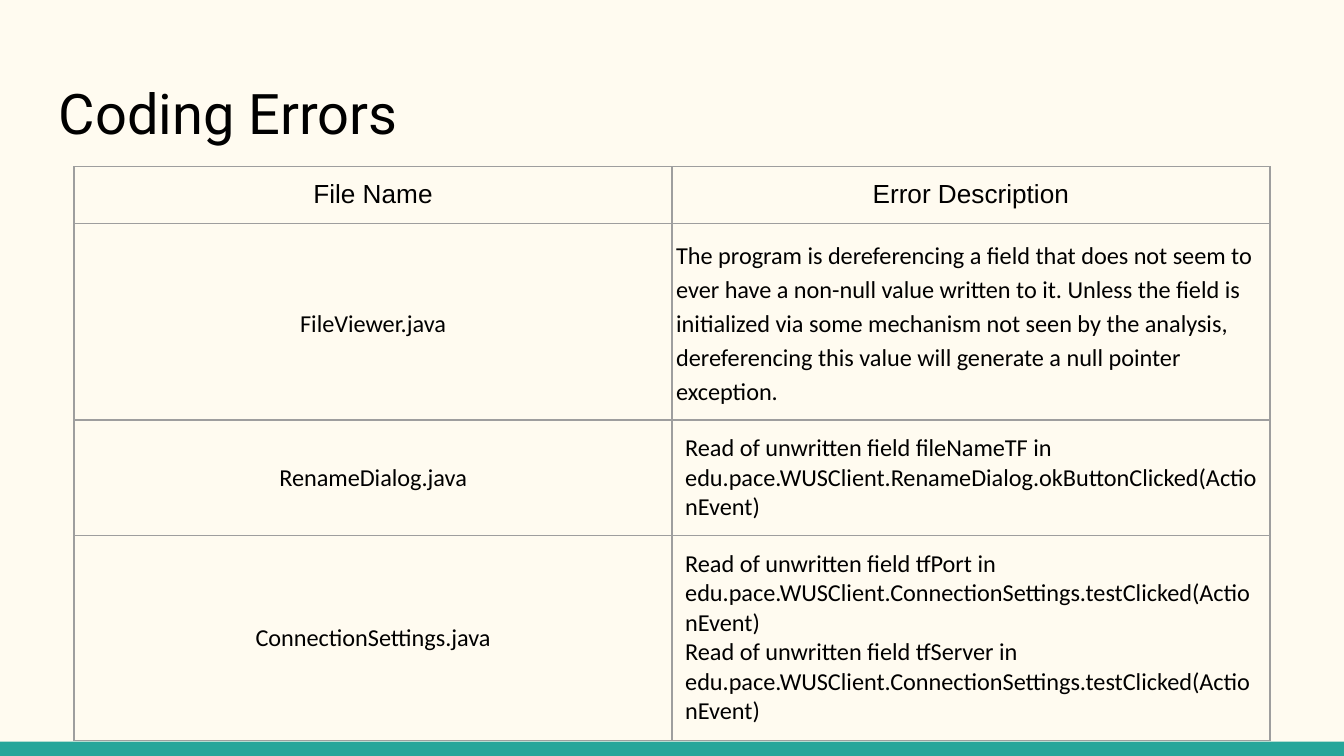
from lxml.etree import SubElement
from pptx import Presentation
from pptx.dml.color import RGBColor
from pptx.enum.shapes import MSO_SHAPE as Shape
from pptx.enum.text import MSO_ANCHOR as Anchor, MSO_AUTO_SIZE as AutoSize, PP_ALIGN as Align
from pptx.oxml.ns import qn
from pptx.util import Cm, Pt

CREAM = RGBColor(0xFF, 0xFB, 0xF0)
TEAL = RGBColor(0x26, 0xA6, 0x9A)
BLACK = RGBColor(0, 0, 0)
GREY = RGBColor(0x9E, 0x9E, 0x9E)

INSET = Cm(0.25)
NARROW_INSET = Cm(0.08)
ROW_HEIGHTS = [Cm(1.07), Cm(3.72), Cm(2.18), Cm(3.87)]
HEADINGS = ["File Name", "Error Description"]
ERRORS = [
    ("FileViewer.java", [
        "The program is dereferencing a field that does not seem to ever have a non-null value "
        "written to it. Unless the field is initialized via some mechanism not seen by the "
        "analysis, dereferencing this value will generate a null pointer exception."]),
    ("RenameDialog.java", [
        "Read of unwritten field fileNameTF in "
        "edu.pace.WUSClient.RenameDialog.okButtonClicked(ActionEvent)"]),
    ("ConnectionSettings.java", [
        f"Read of unwritten field {field} in "
        "edu.pace.WUSClient.ConnectionSettings.testClicked(ActionEvent)"
        for field in ("tfPort", "tfServer")]),
]


def add_text(para, text, font_name, size, align):
    """Add one formatted run to a paragraph."""
    para.alignment = align
    span = para.add_run()
    span.text = text
    span.font.name = font_name
    span.font.size = Pt(size)
    span.font.bold = False
    span.font.color.rgb = BLACK


def add_borders(cell):
    """Draw a thin grey line on all four sides of a cell."""
    properties = cell._tc.get_or_add_tcPr()
    for position, side in enumerate(("a:lnL", "a:lnR", "a:lnT", "a:lnB")):
        line = SubElement(properties, qn(side), w=str(Pt(0.75)))
        fill = SubElement(line, qn("a:solidFill"))
        SubElement(fill, qn("a:srgbClr"), val=str(GREY))
        properties.insert(position, line)


def fill_cell(cell, lines, font_name, size, align, anchor, side_inset=INSET, spacing=1.0):
    """Write the lines of one table cell and set its look."""
    cell.fill.background()
    add_borders(cell)
    cell.vertical_anchor = anchor
    cell.margin_left = cell.margin_right = side_inset
    cell.margin_top = cell.margin_bottom = INSET
    frame = cell.text_frame
    for index, line in enumerate(lines):
        para = frame.add_paragraph() if index else frame.paragraphs[0]
        para.line_spacing = spacing
        add_text(para, line, font_name, size, align)


def place_title(page, left, top, width, height):
    """Move the title placeholder into the box and write the heading."""
    box = page.shapes.title
    box.left, box.top, box.width, box.height = left, top, width, height
    frame = box.text_frame
    frame.auto_size = AutoSize.NONE
    frame.word_wrap = True
    frame.vertical_anchor = Anchor.TOP
    frame.margin_left = frame.margin_right = INSET
    frame.margin_top = frame.margin_bottom = INSET
    add_text(frame.paragraphs[0], "Coding Errors", "Roboto", 30, Align.LEFT)


def place_error_table(page, left, top, width):
    """Build the table of files and their errors."""
    box = page.shapes.add_table(len(ROW_HEIGHTS), len(HEADINGS), left, top, width, sum(ROW_HEIGHTS))
    table = box.table
    table.first_row = table.horz_banding = False
    for row, height in zip(table.rows, ROW_HEIGHTS):
        row.height = height
    for column, heading in enumerate(HEADINGS):
        fill_cell(table.cell(0, column), [heading], "Arial", 14, Align.CENTER, Anchor.TOP)
    for row, (file_name, descriptions) in enumerate(ERRORS, start=1):
        side_inset, spacing = (NARROW_INSET, 1.15) if row == 1 else (INSET, 1.0)
        for column, (lines, align) in enumerate([([file_name], Align.CENTER),
                                                 (descriptions, Align.LEFT)]):
            fill_cell(table.cell(row, column), lines, "Calibri", 13, align, Anchor.MIDDLE,
                      side_inset, spacing)


def place_footer_bar(page, left, top, width, height):
    """Draw the coloured bar along the bottom edge."""
    bar = page.shapes.add_shape(Shape.RECTANGLE, left, top, width, height)
    bar.shadow.inherit = False
    bar.fill.solid()
    bar.fill.fore_color.rgb = TEAL
    bar.line.fill.background()


def main():
    """Build and save the deck."""
    deck = Presentation()
    deck.slide_width, deck.slide_height = Cm(25.4), Cm(14.29)
    page = deck.slides.add_slide(deck.slide_layouts[5])
    page.background.fill.solid()
    page.background.fill.fore_color.rgb = CREAM
    bar_height = Cm(0.27)
    place_footer_bar(page, 0, deck.slide_height - bar_height, deck.slide_width, bar_height)
    place_title(page, Cm(0.86), Cm(1.24), Cm(23.67), Cm(1.7))
    place_error_table(page, Cm(1.4), Cm(3.15), Cm(22.6))
    deck.save("out.pptx")


if __name__ == "__main__":
    main()
